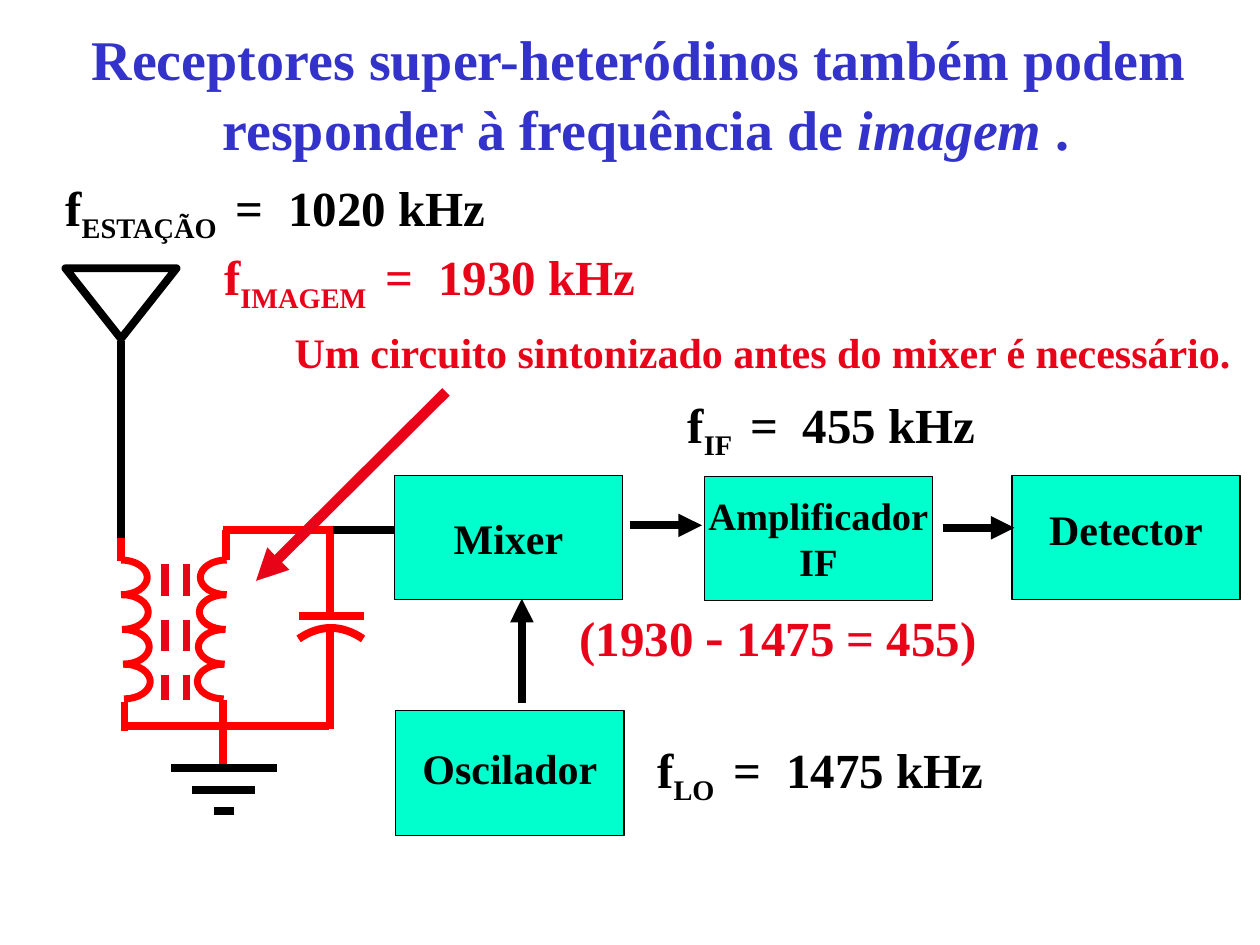
from collections import namedtuple
from dataclasses import dataclass
from math import cos, pi, sin

from lxml import etree
from pptx import Presentation
from pptx.dml.color import RGBColor
from pptx.enum import dml, shapes, text
from pptx.oxml import ns
from pptx.util import Cm, Pt

Box = namedtuple("Box", "left top width height")
Span = namedtuple("Span", "words size italic baseline", defaults=(None, False, 0))


@dataclass(frozen=True)
class Theme:
    """Colours, type sizes and line widths of the slide."""

    font: str = "Times New Roman"
    black: RGBColor = RGBColor(0, 0, 0)
    blue: RGBColor = RGBColor(0x33, 0x33, 0xCC)
    red: RGBColor = RGBColor(0xE9, 0x03, 0x19)
    circuit: RGBColor = RGBColor(0xFF, 0, 0)
    block: RGBColor = RGBColor(0, 0xFF, 0xCC)
    title: int = 32
    formula: int = 28
    label: int = 24
    small: int = 22
    outline: float = 0.75
    coil: float = 4
    wire: float = 4.5
    pointer: float = 6


THEME = Theme()


def write_spans(para, spans, size, color):
    """Write spans of one size and colour into a paragraph."""
    for item in spans:
        span = para.add_run()
        span.text = item.words
        span.font.name = THEME.font
        span.font.size = Pt(item.size or size)
        span.font.bold = True
        span.font.italic = item.italic
        span.font.color.rgb = color
        if item.baseline:
            span._r.get_or_add_rPr().set("baseline", str(item.baseline))


def draw_line(page, start, end, color=THEME.black, width=THEME.wire, dashed=False, arrow=False):
    """Draw a straight line between two points in centimetres."""
    line = page.shapes.add_connector(
        shapes.MSO_CONNECTOR.STRAIGHT, *(Cm(value) for value in (*start, *end)))
    line.line.color.rgb = color
    line.line.width = Pt(width)
    if dashed:
        line.line.dash_style = dml.MSO_LINE.DASH
    if arrow:
        etree.SubElement(line.line._get_or_add_ln(), ns.qn("a:tailEnd"), type="triangle")
    etree.SubElement(line._element.spPr, ns.qn("a:effectLst"))


def draw_curve(page, points, width):
    """Draw an open red curve through points in centimetres."""
    places = [(Cm(x), Cm(y)) for x, y in points]
    builder = page.shapes.build_freeform(*places[0])
    builder.add_line_segments(places[1:], close=False)
    curve = builder.convert_to_shape()
    curve.shadow.inherit = False
    curve.fill.background()
    curve.line.color.rgb = THEME.circuit
    curve.line.width = Pt(width)


def add_title(page, box):
    """Place the two-line title in its placeholder."""
    title = page.shapes.title
    title.left, title.top, title.width, title.height = (Cm(value) for value in box)
    frame = title.text_frame
    frame.word_wrap = True
    frame.auto_size = text.MSO_AUTO_SIZE.NONE
    frame.vertical_anchor = text.MSO_ANCHOR.TOP
    lines = [
        [Span("Receptores super-heteródinos também podem ")],
        [Span("responder à frequência de "), Span("imagem", italic=True), Span(" .")],
    ]
    for index, spans in enumerate(lines):
        para = frame.add_paragraph() if index else frame.paragraphs[0]
        para.alignment = text.PP_ALIGN.CENTER
        para.space_before = Pt(2 * index)
        write_spans(para, spans, THEME.title, THEME.blue)


def add_caption(page, box, spans, size=THEME.formula, color=THEME.black):
    """Place one line of text."""
    caption = page.shapes.add_textbox(*(Cm(value) for value in box))
    caption.text_frame.word_wrap = True
    write_spans(caption.text_frame.paragraphs[0], spans, size, color)


def add_frequency(page, box, index, value, color=THEME.black):
    """Place a frequency formula with a subscript."""
    spans = [Span("f"), Span(f"{index} ", baseline=-25000), Span(f" =  {value} kHz")]
    add_caption(page, box, spans, color=color)


def add_block(page, box, lines, size=THEME.label, lift=0):
    """Draw a labelled stage of the receiver."""
    block = page.shapes.add_shape(
        shapes.MSO_SHAPE.RECTANGLE, *(Cm(value) for value in box))
    block.shadow.inherit = False
    block.fill.solid()
    block.fill.fore_color.rgb = THEME.block
    block.line.color.rgb = THEME.black
    block.line.width = Pt(THEME.outline)
    frame = block.text_frame
    frame.word_wrap = False
    frame.vertical_anchor = text.MSO_ANCHOR.MIDDLE
    frame.margin_bottom = Cm(0.13 + 2 * lift)
    for index, words in enumerate(lines):
        para = frame.add_paragraph() if index else frame.paragraphs[0]
        para.alignment = text.PP_ALIGN.CENTER
        write_spans(para, [Span(words)], size, THEME.black)


def add_antenna(page, box):
    """Draw the antenna triangle at the top of the box and its mast below."""
    head = page.shapes.add_shape(
        shapes.MSO_SHAPE.ISOSCELES_TRIANGLE, Cm(box.left), Cm(box.top), Cm(box.width), Cm(1.42))
    head._element.spPr.xfrm.set("flipV", "1")
    head.shadow.inherit = False
    head.fill.background()
    head.line.color.rgb = THEME.black
    head.line.width = Pt(THEME.wire)
    center = box.left + box.width / 2
    draw_line(page, (center, box.top + 1.47), (center, box.top + box.height))


def add_coil(page, box, direction, turns=4, steps=16):
    """Draw a winding whose turns bulge left (-1) or right (1)."""
    pitch = box.height / turns
    for turn in range(turns):
        axis = box.left + direction * 0.02 * turn
        angles = [pi * step / steps for step in range(steps + 1)]
        points = [(axis + direction * box.width * sin(angle),
                   box.top + pitch * (turn + (1 - cos(angle)) / 2)) for angle in angles]
        draw_curve(page, points, THEME.coil)


def add_tuned_circuit(page, box):
    """Draw the transformer, capacitor and wires of the tuned circuit."""
    def at(x, y):
        return box.left + x, box.top + y

    for x in (0.93, 1.36):
        draw_line(page, at(x, 0.78), at(x, 3.52), THEME.red, dashed=True)
    for x, direction in ((0.04, 1), (2.17, -1)):
        add_coil(page, Box(*at(x, 0.69), 0.53, 2.8), direction)
    wires = [
        (4.25, 0.04, 4.25, 1.9), (4.25, 2.02, 4.25, 4.1),
        (4.23, 4.03, 0.04, 4.03), (4.31, 0.09, 2.1, 0.09),
        (2.15, 0.68, 2.15, 0.09), (2.1, 4.97, 2.1, 3.52),
        (0.04, 0.7, 0.04, 0.12), (0.11, 4.13, 0.11, 3.55),
        (3.62, 1.82, 4.94, 1.82),
    ]
    for x1, y1, x2, y2 in wires:
        draw_line(page, at(x1, y1), at(x2, y2), THEME.circuit)
    plate = [at(4.27 + 0.65 * step / 8, 2.06 + 0.22 * (step / 8) ** 2) for step in range(-8, 9)]
    draw_curve(page, plate, THEME.wire)


def add_ground(page, box):
    """Draw three ever shorter ground bars."""
    for bar in range(3):
        inset = 0.43 * bar
        y = box.top + box.height * bar / 2
        draw_line(page, (box.left + inset, y), (box.left + box.width - inset, y))


def main():
    """Build the slide and save it."""
    deck = Presentation()
    deck.slide_width, deck.slide_height = Cm(25.4), Cm(19.05)
    page = deck.slides.add_slide(deck.slide_layouts[5])
    add_title(page, Box(1.57, 0.36, 22.91, 2.97))
    add_tuned_circuit(page, Box(2.4, 10.6, 4.95, 5))
    add_caption(page, Box(5.69, 6.45, 19.65, 1.27),
                [Span("Um circuito sintonizado antes do mixer é necessário.")],
                THEME.label, THEME.red)
    draw_line(page, (8.99, 7.9), (5.16, 11.71), THEME.red, THEME.pointer, arrow=True)
    add_block(page, Box(7.95, 9.58, 4.6, 2.51), ["Mixer"])
    add_block(page, Box(14.2, 9.6, 4.6, 2.51), ["Amplificador", "IF"], THEME.small)
    add_block(page, Box(20.4, 9.58, 4.6, 2.51), ["Detector"], lift=0.17)
    add_block(page, Box(7.98, 14.33, 4.6, 2.51), ["Oscilador"], lift=0.1)
    add_antenna(page, Box(1.32, 5.41, 2.24, 5.44))
    draw_line(page, (6.71, 10.69), (7.95, 10.69))
    for start, end in (((10.52, 14.17), (10.52, 12.07)),
                       ((12.7, 10.59), (14.15, 10.59)),
                       ((19, 10.64), (20.45, 10.64))):
        draw_line(page, start, end, arrow=True)
    add_ground(page, Box(3.45, 15.49, 2.13, 0.86))
    add_frequency(page, Box(1.07, 3.45, 9.2, 1.6), "ESTAÇÃO", 1020)
    add_frequency(page, Box(13, 14.78, 7.3, 1.6), "LO", 1475)
    add_frequency(page, Box(13.61, 7.82, 6.5, 1.6), "IF", 455)
    add_frequency(page, Box(4.27, 4.85, 9, 1.6), "IMAGEM", 1930, THEME.red)
    add_caption(page, Box(11.43, 11.99, 8.8, 1.63),
                [Span("(1930 "), Span("-", THEME.title), Span(" 1475 = 455)")], color=THEME.red)
    deck.save("out.pptx")


if __name__ == "__main__":
    main()
